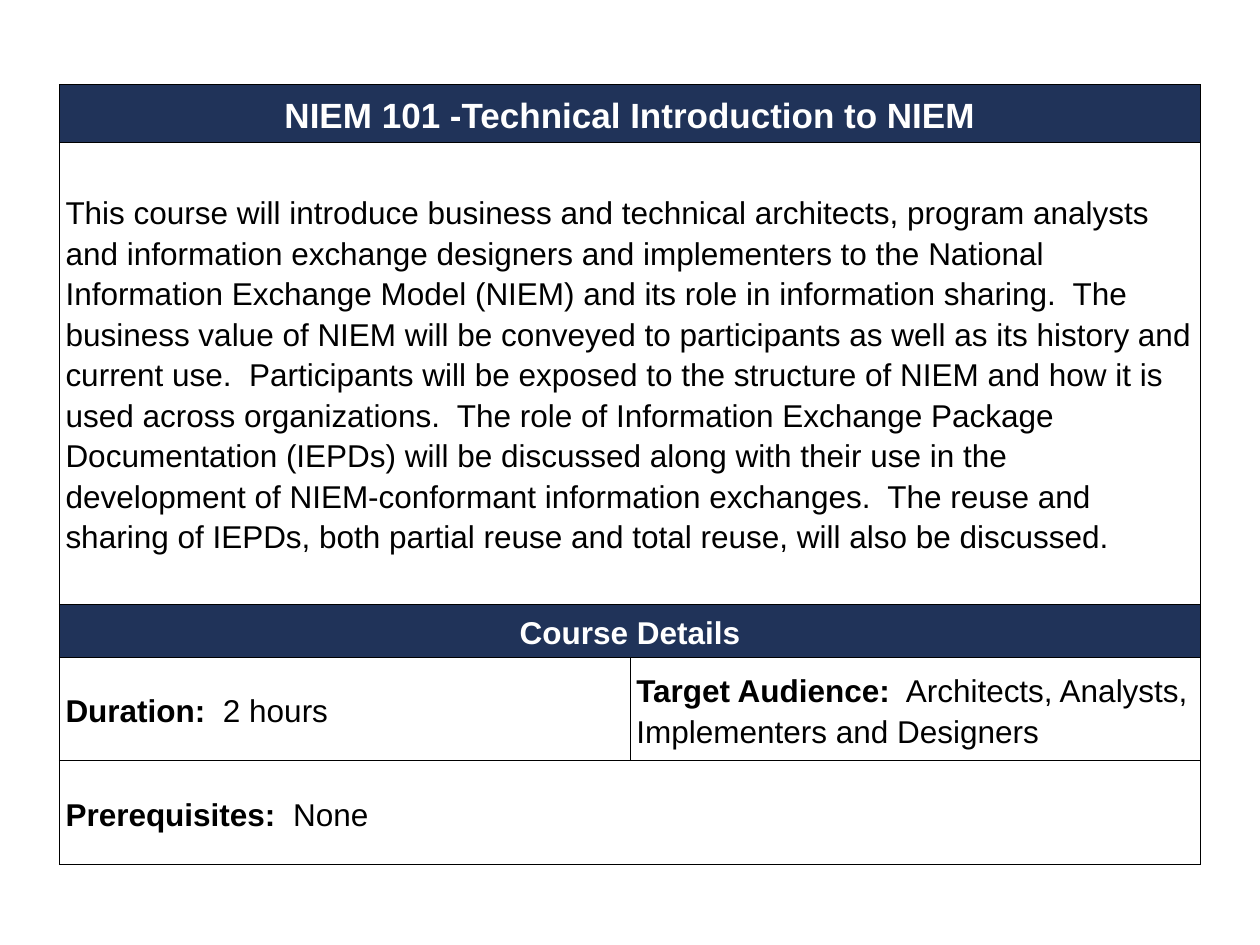
from dataclasses import dataclass

import pptx
import pptx.dml.color
import pptx.enum.text
import pptx.oxml
import pptx.oxml.ns
import pptx.util
from pptx.util import Inches


@dataclass(frozen=True)
class Theme:
    font: str = "Arial"
    navy: str = "203359"
    white: str = "FFFFFF"
    black: str = "000000"
    title_size: int = 20
    body_size: int = 18
    line_spacing: float = 1.15
    border_width: float = 0.45
    cell_margin: float = 0.05


THEME = Theme()
COLUMN_WIDTHS = [4.53, 4.53]
ROW_HEIGHTS = [0.45, 3.67, 0.41, 0.82, 0.82]

DESCRIPTION = (
    "This course will introduce business and technical architects, program analysts "
    "and information exchange designers and implementers to the National Information "
    "Exchange Model (NIEM) and its role in information sharing.  The business value of "
    "NIEM will be conveyed to participants as well as its history and current use.  "
    "Participants will be exposed to the structure of NIEM and how it is used across "
    "organizations.  The role of Information Exchange Package Documentation (IEPDs) "
    "will be discussed along with their use in the development of NIEM-conformant "
    "information exchanges.  The reuse and sharing of IEPDs, both partial reuse and "
    "total reuse, will also be discussed."
)


def rgb(color):
    return pptx.dml.color.RGBColor.from_string(color)


def set_borders(cell):
    """Draw a thin line on all four sides; lines come before the fill in the XML."""
    properties = cell._tc.get_or_add_tcPr()
    width = pptx.util.Pt(THEME.border_width)
    for position, side in enumerate(("lnL", "lnR", "lnT", "lnB")):
        line = pptx.oxml.parse_xml(
            f'<a:{side} {pptx.oxml.ns.nsdecls("a")} w="{int(width)}"><a:solidFill>'
            f'<a:srgbClr val="{THEME.black}"/></a:solidFill></a:{side}>'
        )
        properties.insert(position, line)


def add_run(paragraph, text, size, color, bold):
    run = paragraph.add_run()
    run.text = text
    run.font.name = THEME.font
    run.font.size = pptx.util.Pt(size)
    run.font.bold = bold
    run.font.color.rgb = rgb(color)


def start_paragraph(cell, alignment):
    cell.vertical_anchor = pptx.enum.text.MSO_ANCHOR.MIDDLE
    margin = Inches(THEME.cell_margin)
    cell.margin_left = cell.margin_right = margin
    cell.margin_top = cell.margin_bottom = margin
    paragraph = cell.text_frame.paragraphs[0]
    paragraph.alignment = alignment
    paragraph.line_spacing = THEME.line_spacing
    return paragraph


def fill_heading(cell, text, size):
    cell.fill.solid()
    cell.fill.fore_color.rgb = rgb(THEME.navy)
    paragraph = start_paragraph(cell, pptx.enum.text.PP_ALIGN.CENTER)
    add_run(paragraph, text, size, THEME.white, True)


def fill_body(cell, text, label=""):
    paragraph = start_paragraph(cell, pptx.enum.text.PP_ALIGN.LEFT)
    if label:
        add_run(paragraph, label, THEME.body_size, THEME.black, True)
    add_run(paragraph, text, THEME.body_size, THEME.black, False)


def add_course_table(slide):
    frame = slide.shapes.add_table(
        len(ROW_HEIGHTS), len(COLUMN_WIDTHS), Inches(0.47), Inches(0.67),
        Inches(sum(COLUMN_WIDTHS)), Inches(sum(ROW_HEIGHTS)),
    )
    table = frame.table
    table.first_row = table.horz_banding = False
    for column, width in zip(table.columns, COLUMN_WIDTHS):
        column.width = Inches(width)
    for row, height in zip(table.rows, ROW_HEIGHTS):
        row.height = Inches(height)
    for cell in table.iter_cells():
        cell.fill.background()
        set_borders(cell)

    # Every row but the one with duration and audience spans both columns
    for row in (0, 1, 2, 4):
        table.cell(row, 0).merge(table.cell(row, 1))
    return table


def main():
    presentation = pptx.Presentation()
    presentation.slide_width = Inches(10)
    presentation.slide_height = Inches(7.5)
    slide = presentation.slides.add_slide(presentation.slide_layouts[6])
    table = add_course_table(slide)

    # Course title and description
    fill_heading(table.cell(0, 0), "NIEM 101 -Technical Introduction to NIEM", THEME.title_size)
    fill_body(table.cell(1, 0), DESCRIPTION)

    # Course details
    fill_heading(table.cell(2, 0), "Course Details", THEME.body_size)
    fill_body(table.cell(3, 0), "  2 hours", "Duration:")
    fill_body(table.cell(3, 1), "  Architects, Analysts, Implementers and Designers",
              "Target Audience:")
    fill_body(table.cell(4, 0), "  None", "Prerequisites:")

    presentation.save("out.pptx")


if __name__ == "__main__":
    main()
